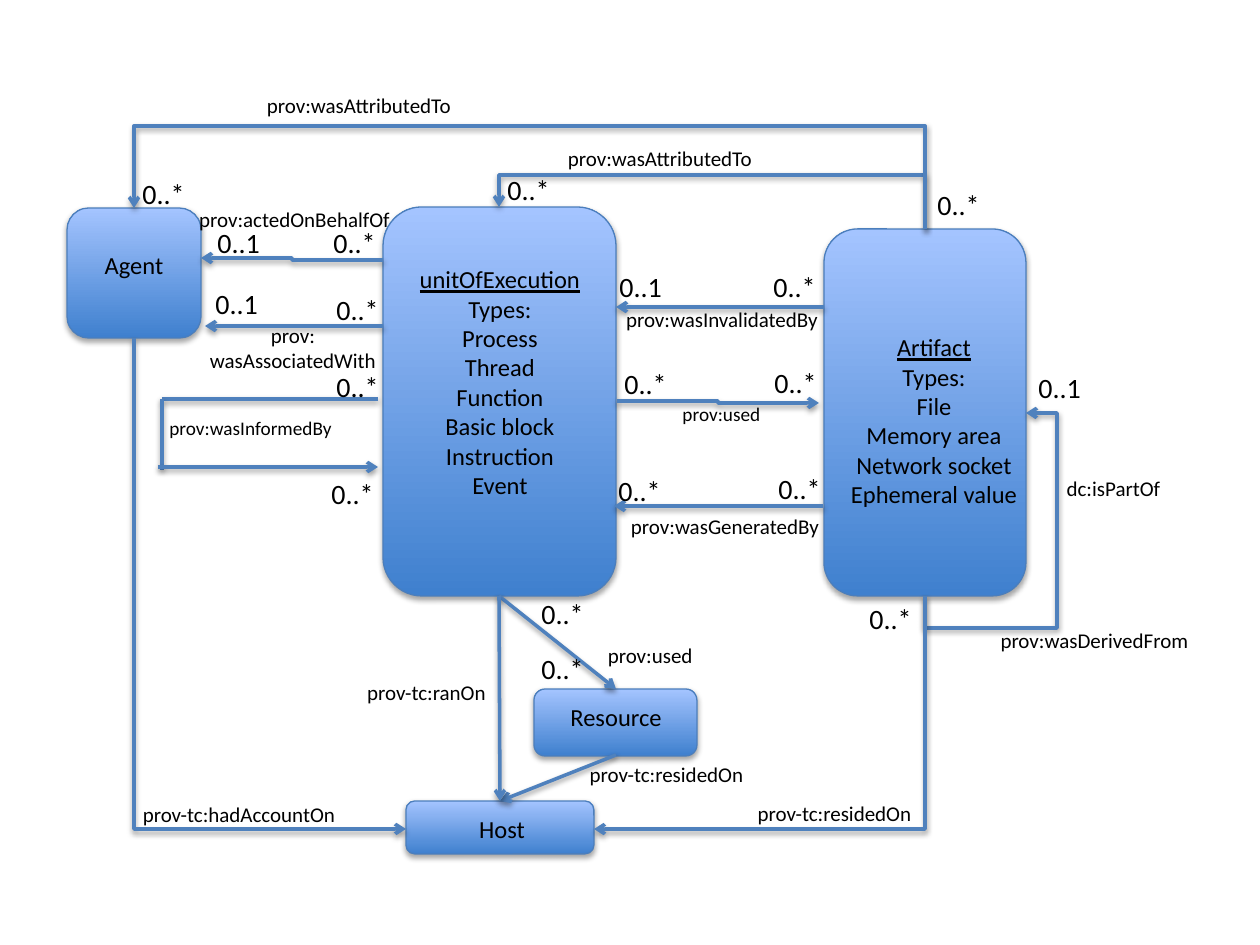
import dataclasses
import typing

import lxml.etree
import pptx
import pptx.dml.color
import pptx.enum.shapes
import pptx.enum.text
import pptx.oxml
import pptx.oxml.ns
import pptx.util

SCALE = 914400 / 126
FONT = "Calibri"
COLOURS = {"box_bottom": "3F80CE", "box_top": "A4C4FF", "box_edge": "4B7EBC",
           "link": "4F81BD", "text": "000000", "shadow": "000000"}
ALIGN = pptx.enum.text.PP_ALIGN
CONNECTOR = pptx.enum.shapes.MSO_CONNECTOR
QUARTERS = [(1, 0), (0, 1), (-1, 0), (0, -1)]


@dataclasses.dataclass
class Box:
    left: int
    top: int
    width: int
    height: int


@dataclasses.dataclass
class Label:
    text: str
    left: int
    top: int
    width: int
    height: int = 38
    size: int = 12
    align: typing.Any = ALIGN.CENTER
    wrap: bool = False
    heading: bool = False


@dataclasses.dataclass
class Link:
    start: tuple[int, int]
    end: tuple[int, int]
    arrow: bool = True


@dataclasses.dataclass
class Elbow:
    """Quarter turns clockwise give the leaving direction; bends are pixel positions."""
    start: tuple[int, int]
    end: tuple[int, int]
    quarter: int
    bends: tuple[float, ...] = ()


BOXES = [
    Box(383, 207, 233, 389),  # unit of execution
    Box(824, 229, 202, 367),  # artifact
    Box(67, 208, 134, 130),   # agent
    Box(534, 689, 163, 67),   # resource
    Box(406, 801, 188, 53),   # host
]

ELBOWS = [
    Elbow((617, 401), (819, 403), 0, (718,)),           # used
    Elbow((383, 260), (201, 258), 2, (292,)),           # actedOnBehalfOf
    Elbow((925, 229), (499, 207), 3, (175,)),           # wasAttributedTo
    Elbow((925, 229), (134, 208), 3, (126,)),           # wasAttributedTo
    Elbow((925, 596), (1026, 413), 1, (628, 1057)),     # wasDerivedFrom
    Elbow((824, 307), (616, 307), 2, (720,)),           # wasInvalidatedBy
    Elbow((823, 506), (614, 506), 2, (718,)),           # wasGeneratedBy
    Elbow((383, 326), (205, 326), 2, (294,)),           # wasAssociatedWith
    Elbow((134, 338), (406, 829), 3),                   # hadAccountOn
    Elbow((925, 596), (594, 829), 1),                   # residedOn
]

LINKS = [
    Link((378, 399), (162, 399), arrow=False),          # wasInformedBy
    Link((162, 399), (162, 470), arrow=False),
    Link((158, 467), (378, 467)),
    Link((499, 596), (616, 689)),                       # used
    Link((616, 755), (500, 801)),                       # residedOn
    Link((499, 596), (500, 801)),                       # ranOn
]

NAMES = [
    Label("Agent", 92, 244, 84, 43, 14),
    Label("Resource", 558, 696, 120, 43, 14, ALIGN.LEFT),
    Label("Host", 466, 808, 72, 43, 14),
    Label("unitOfExecution\nTypes:\nProcess\nThread\nFunction\nBasic block\n"
          "Instruction\nEvent", 406, 258, 188, 251, 14, heading=True),
    Label("Artifact\nTypes:\nFile\nMemory area\nNetwork socket\nEphemeral value",
          837, 326, 194, 190, 14, heading=True),
]

RELATIONS = [
    Label("prov:\vwasAssociatedWith", 196, 316, 194, 63),
    Label("prov:wasAttributedTo", 553, 139, 214),
    Label("prov:actedOnBehalfOf", 185, 200, 219),
    Label("prov:wasInformedBy", 157, 410, 190, 59, 11, ALIGN.LEFT),
    Label("prov:wasDerivedFrom", 986, 621, 217),
    Label("prov:wasAttributedTo", 252, 86, 214),
    Label("prov:wasGeneratedBy", 616, 507, 218),
    Label("prov:used", 669, 396, 105, 37, 11),
    Label("prov:wasInvalidatedBy", 611, 300, 222),
    Label("prov:used", 553, 636, 152, align=ALIGN.RIGHT, wrap=True),
    Label("dc:isPartOf", 1053, 469, 121),
    Label("prov-tc:residedOn", 743, 794, 183),
    Label("prov-tc:hadAccountOn", 128, 795, 222),
    Label("prov-tc:residedOn", 575, 755, 183),
    Label("prov-tc:ranOn", 353, 673, 147),
]

MULTIPLICITIES = {
    "0..1": [(205, 219), (203, 280), (607, 263), (1026, 364)],
    "0..*": [(321, 219), (495, 166), (319, 470), (324, 363), (324, 286), (130, 170),
             (925, 181), (761, 263), (612, 360), (762, 359), (766, 465), (606, 467),
             (857, 595), (529, 590), (529, 645)],
}


def px(pixels: float) -> int:
    return round(pixels * SCALE)


def colour(key: str) -> pptx.dml.color.RGBColor:
    return pptx.dml.color.RGBColor.from_string(COLOURS[key])


def child(parent: typing.Any, tag: str, **attributes: typing.Any) -> typing.Any:
    element = lxml.etree.SubElement(parent, pptx.oxml.ns.qn(tag))
    for key, value in attributes.items():
        element.set(key, str(value))
    return element


def add_shadow(properties: typing.Any, distance: int, opacity: int) -> None:
    shadow = child(child(properties, "a:effectLst"), "a:outerShdw", blurRad=40000,
                   dist=distance, dir=5400000, rotWithShape=0)
    tint = child(shadow, "a:srgbClr", val=COLOURS["shadow"])
    child(tint, "a:alpha", val=opacity * 1000)


def draw_box(slide: typing.Any, box: Box) -> None:
    shape = slide.shapes.add_shape(
        pptx.enum.shapes.MSO_SHAPE.ROUNDED_RECTANGLE,
        px(box.left), px(box.top), px(box.width), px(box.height))
    shape.fill.gradient()
    shape.fill.gradient_angle = 90
    for stop, key in zip(shape.fill.gradient_stops, ("box_bottom", "box_top")):
        stop.color.rgb = colour(key)
    shape.line.color.rgb = colour("box_edge")
    shape.line.width = pptx.util.Pt(0.75)
    add_shadow(shape._element.spPr, 23000, 35)


def draw_link(slide: typing.Any, link: typing.Any, kind: typing.Any = CONNECTOR.STRAIGHT,
              arrow: bool = True) -> typing.Any:
    connector = slide.shapes.add_connector(kind, *map(px, link.start + link.end))
    connector.line.color.rgb = colour("link")
    connector.line.width = pptx.util.Pt(2)
    if arrow:
        child(connector.line._get_or_add_ln(), "a:tailEnd", type="arrow")
    add_shadow(connector._element.spPr, 20000, 38)
    return connector


def draw_elbow(slide: typing.Any, elbow: Elbow) -> None:
    connector = draw_link(slide, elbow, CONNECTOR.ELBOW)
    properties = connector._element.spPr
    delta = [b - a for a, b in zip(elbow.start, elbow.end)]
    upright = elbow.quarter % 2
    # Frame before rotation, centred between both ends
    width, height = (abs(d) for d in (reversed(delta) if upright else delta))
    connector.left = px((elbow.start[0] + elbow.end[0] - width) / 2)
    connector.top = px((elbow.start[1] + elbow.end[1] - height) / 2)
    connector.width, connector.height = px(width), px(height)
    frame = properties.find(pptx.oxml.ns.qn("a:xfrm"))
    frame.set("rot", str(elbow.quarter * 5400000))
    for step, flip in enumerate(("flipH", "flipV")):
        direction = QUARTERS[(elbow.quarter + step) % 4]
        reverse = sum(d * u for d, u in zip(delta, direction)) < 0
        frame.set(flip, str(int(reverse)))
    # Bend positions as shares of the way along each axis
    geometry = properties.find(pptx.oxml.ns.qn("a:prstGeom"))
    geometry.set("prst", f"bentConnector{len(elbow.bends) + 2}")
    guides = geometry.find(pptx.oxml.ns.qn("a:avLst"))
    if guides is None:
        guides = child(geometry, "a:avLst")
    for index, bend in enumerate(elbow.bends):
        axis = (upright + index) % 2
        share = round((bend - elbow.start[axis]) / delta[axis] * 100000)
        child(guides, "a:gd", name=f"adj{index + 1}", fmla=f"val {share}")


def draw_label(slide: typing.Any, label: Label) -> None:
    frame = slide.shapes.add_textbox(
        px(label.left), px(label.top), px(label.width), px(label.height)).text_frame
    frame.text = label.text
    frame.word_wrap = label.wrap
    frame.auto_size = pptx.enum.text.MSO_AUTO_SIZE.SHAPE_TO_FIT_TEXT
    for index, paragraph in enumerate(frame.paragraphs):
        paragraph.alignment = label.align
        for run in paragraph.runs:
            run.font.name = FONT
            run.font.size = pptx.util.Pt(label.size)
            run.font.color.rgb = colour("text")
            if label.heading and index == 0:
                run.font.underline = True


presentation = pptx.Presentation()
presentation.slide_width, presentation.slide_height = px(1260), px(945)
model = presentation.slides.add_slide(presentation.slide_layouts[6])

# Entities and their connections
for entity in BOXES:
    draw_box(model, entity)
for route in ELBOWS:
    draw_elbow(model, route)
for straight in LINKS:
    draw_link(model, straight, arrow=straight.arrow)

# Wording
for wording in NAMES + RELATIONS:
    draw_label(model, wording)
for count, places in MULTIPLICITIES.items():
    for left, top in places:
        draw_label(model, Label(count, left, top, 68, 47, 16, ALIGN.LEFT))

presentation.save("out.pptx")
